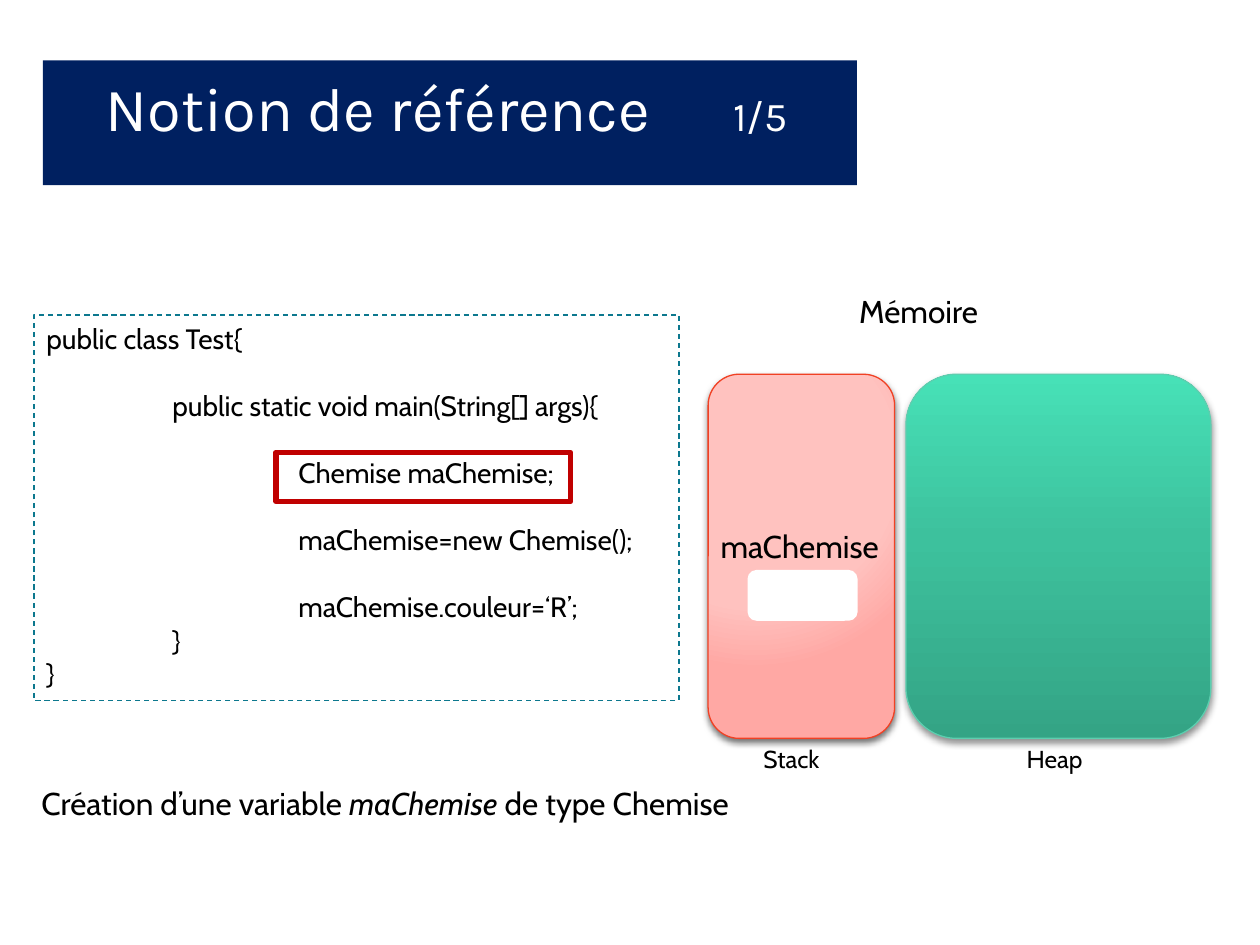
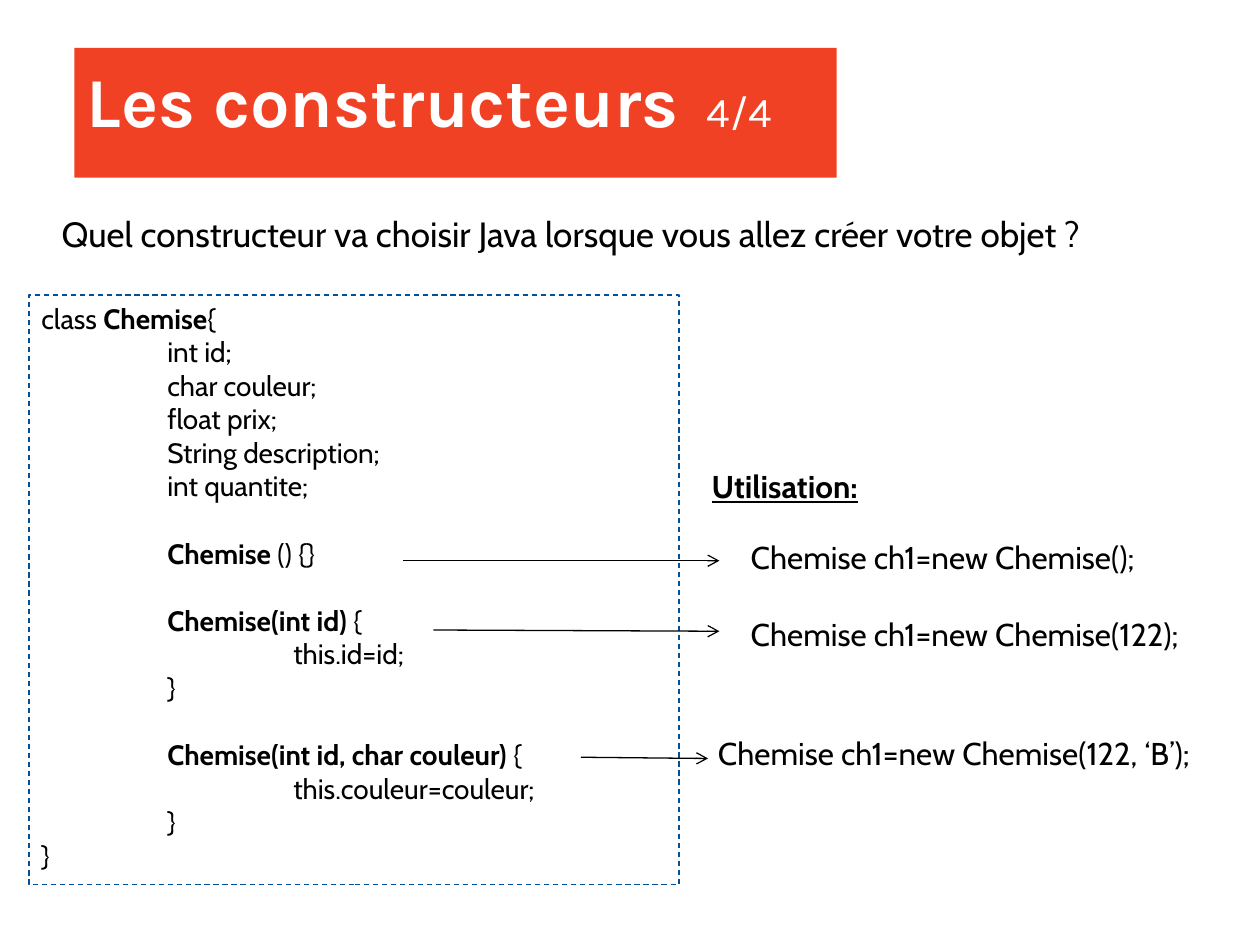
from lxml import etree
from pptx import Presentation
from pptx.dml.color import RGBColor
from pptx.enum.dml import MSO_LINE
from pptx.enum.shapes import MSO_CONNECTOR, MSO_SHAPE
from pptx.enum.text import MSO_ANCHOR, MSO_AUTO_SIZE, PP_ALIGN
from pptx.oxml.ns import qn
from pptx.util import Inches, Pt

RECT, ROUND = MSO_SHAPE.RECTANGLE, MSO_SHAPE.ROUNDED_RECTANGLE
STRAIGHT = MSO_CONNECTOR.STRAIGHT
DASH = MSO_LINE.DASH
LEFT, TOP = PP_ALIGN.LEFT, MSO_ANCHOR.TOP
FIXED = MSO_AUTO_SIZE.NONE

BODY, HEAD = "Cabin", "Karla"
COLORS = {
    "ink": "000000", "white": "FFFFFF", "navy": "002060", "orange": "F14124",
    "teal": "0C788E", "blue": "025198", "red": "C00000", "mint": "5DCEAF",
}
PINK = [(0, "FFC2BF"), (35, "FFC2BF"), (69, "FFC2BF"), (100, "FFA8A4")]
GREEN = [(0, "34A485"), (55, "3DC19D"), (100, "47E1B7")]
TAB = 1.0    # indent of one code level, inches
LINE = 19.2  # height of one code line, points

# Code lines: (level, text, gap above); *stars* mark emphasis.
MAIN = [
    (0, "public class Test{", False),
    (1, "public static void main(String[] args){", True),
    (2, "Chemise maChemise;", True),
    (2, "maChemise=new Chemise();", True),
    (2, "maChemise.couleur=‘R’;", True),
    (1, "}", False),
    (0, "}", False),
]
SHIRT = [
    (0, "class *Chemise*{", False),
    (1, "int id;", False),
    (1, "char couleur;", False),
    (1, "float prix;", False),
    (1, "String description;", False),
    (1, "int quantite;", False),
    (1, "*Chemise* () {}", True),
    (1, "*Chemise(int id) *{", True),
    (2, "this.id=id;", False),
    (1, "}", False),
    (1, "*Chemise(int id, char couleur) *{", True),
    (2, "this.couleur=couleur;", False),
    (1, "}", False),
    (0, "}", False),
]
# Labels: (text, box, size)
LABELS = [
    ("Mémoire", (6.72, 2.27, 1.18, 0.4), 18),
    ("maChemise", (5.62, 4.13, 1.55, 0.4), 18),
    ("Création d’une variable *maChemise* de type Chemise",
     (0.23, 6.17, 6.25, 0.4), 18),
    ("Stack", (5.96, 5.86, 0.69, 0.34), 14),
    ("Heap", (8.05, 5.86, 0.67, 0.34), 14),
]
# Calls: (text, box, arrow start, arrow end)
CALLS = [
    ("Chemise ch1=new Chemise();", (5.86, 4.22, 3.59, 0.4),
     (3.2, 4.45), (5.71, 4.45)),
    ("Chemise ch1=new Chemise(122);", (5.86, 4.83, 4.01, 0.4),
     (3.44, 5), (5.71, 5.01)),
    ("Chemise ch1=new Chemise(122, ‘B’);", (5.6, 5.78, 4.4, 0.4),
     (4.61, 6.01), (5.62, 6.02)),
]


def rgb(name):
    return RGBColor.from_string(COLORS[name])


def sub(node, tag, **attrs):
    child = etree.SubElement(node, qn(tag))
    for key, val in attrs.items():
        child.set(key, str(val))
    return child


def write(para, text, size=18, font=BODY, color="ink", bold=False,
          italic=False, under=False, mark="bold"):
    """Add text as runs; parts between stars take the mark style."""
    for i, part in enumerate(text.split("*")):
        if not part:
            continue
        run = para.add_run()
        run.text = part
        face = run.font
        face.name, face.size = font, Pt(size)
        face.color.rgb = rgb(color)
        face.bold, face.italic, face.underline = bold, italic, under
        if i % 2:
            setattr(face, mark, True)


def label(slide, text, box, wrap=False, **style):
    shape = slide.shapes.add_textbox(*map(Inches, box))
    shape.text_frame.word_wrap = wrap
    write(shape.text_frame.paragraphs[0], text, **style)


def block(slide, kind, box, fill=None, line=None, width=0.75):
    shape = slide.shapes.add_shape(kind, *map(Inches, box))
    shape.shadow.inherit = False
    if fill:
        shape.fill.solid()
        shape.fill.fore_color.rgb = rgb(fill)
    else:
        shape.fill.background()
    shape.line.color.rgb = rgb(line)
    shape.line.width = Pt(width)
    return shape


def blend(shape, stops, angle=None):
    """Fill with a linear gradient, or a circular one without an angle."""
    shape.fill.gradient()
    grad = shape.element.spPr.find(qn("a:gradFill"))
    for child in list(grad):
        grad.remove(child)
    grad.set("rotWithShape", "1")
    group = sub(grad, "a:gsLst")
    for pos, color in stops:
        stop = sub(group, "a:gs", pos=pos * 1000)
        sub(stop, "a:srgbClr", val=color)
    if angle is None:
        way = sub(grad, "a:path", path="circle")
        sub(way, "a:fillToRect", l=50000, t=50000, r=100000, b=100000)
    else:
        sub(grad, "a:lin", ang=angle * 60000, scaled=0)


def shade(shape, alpha):
    glow = sub(shape.element.spPr.find(qn("a:effectLst")), "a:outerShdw",
               blurRad=Pt(4), dist=Pt(2), dir=5400000, rotWithShape=0)
    tint = sub(glow, "a:srgbClr", val=COLORS["ink"])
    sub(tint, "a:alpha", val=alpha * 1000)


def code(slide, lines, box, line):
    shape = block(slide, RECT, box, line=line)
    shape.line.dash_style = DASH
    frame = shape.text_frame
    frame.word_wrap, frame.vertical_anchor = True, TOP
    for i, (level, text, gap) in enumerate(lines):
        para = frame.paragraphs[0] if i == 0 else frame.add_paragraph()
        para.alignment = LEFT
        para.space_before = Pt(LINE if gap else 0)
        para._p.get_or_add_pPr().set("marL", str(Inches(level * TAB)))
        write(para, text, size=16)


def arrow(slide, start, end):
    line = slide.shapes.add_connector(STRAIGHT, *map(Inches, start + end))
    line.line.color.rgb = rgb("ink")
    line.line.width = Pt(0.75)
    sub(line.line._get_or_add_ln(), "a:tailEnd", type="arrow")
    sub(line.element.spPr, "a:effectLst")


def page(deck, name, count, box, fill, inset, stop, sizes, bold=False):
    """Add a slide with its title band and page count."""
    slide = deck.slides.add_slide(deck.slide_layouts[5])
    title = slide.shapes.title
    title.left, title.top, title.width, title.height = map(Inches, box)
    title.fill.solid()
    title.fill.fore_color.rgb = rgb(fill)
    frame = title.text_frame
    frame.auto_size, frame.vertical_anchor = FIXED, TOP
    frame.margin_left, frame.margin_top = Inches(inset), Inches(0.08)
    para = frame.paragraphs[0]
    para.alignment = LEFT
    tabs = sub(para._p.get_or_add_pPr(), "a:tabLst")
    sub(tabs, "a:tab", pos=Inches(stop), algn="l")
    write(para, name + "\t", size=sizes[0], font=HEAD, color="white",
          bold=bold)
    write(para, count, size=sizes[1], font=HEAD, color="white")
    return slide


def memory(deck):
    slide = page(deck, "Notion de référence", "1/5", (0.34, 0.48, 6.46, 0.99),
                 "navy", 0.5, 4.98, (35.1, 23.4))
    code(slide, MAIN, (0.27, 2.5, 5.12, 3.06), "teal")
    block(slide, RECT, (2.19, 3.59, 2.34, 0.39), line="red", width=3)
    stack = block(slide, ROUND, (5.62, 2.97, 1.48, 2.89), line="orange")
    blend(stack, PINK)
    shade(stack, 55)
    heap = block(slide, ROUND, (7.19, 2.97, 2.42, 2.89), line="mint")
    blend(heap, GREEN, 270)
    shade(heap, 44)
    block(slide, ROUND, (5.94, 4.53, 0.86, 0.39), "white", "white", 1)
    for text, box, size in LABELS:
        label(slide, text, box, size=size, mark="italic")


def builders(deck):
    slide = page(deck, "Les constructeurs", "4/4", (0.59, 0.38, 6.05, 1.03),
                 "orange", 0.1, 4.92, (40, 24), bold=True)
    label(slide, "Quel constructeur va choisir Java lorsque vous allez "
          "créer votre objet ?", (0.39, 1.64, 9.22, 0.44), wrap=True, size=20)
    code(slide, SHIRT, (0.23, 2.34, 5.16, 4.68), "blue")
    label(slide, "Utilisation:", (5.55, 3.66, 1.51, 0.4), bold=True,
          under=True)
    for text, box, start, end in CALLS:
        label(slide, text, box)
        arrow(slide, start, end)


def main():
    deck = Presentation()
    deck.slide_width, deck.slide_height = Inches(10), Inches(7.5)
    memory(deck)
    builders(deck)
    deck.save("out.pptx")


if __name__ == "__main__":
    main()
